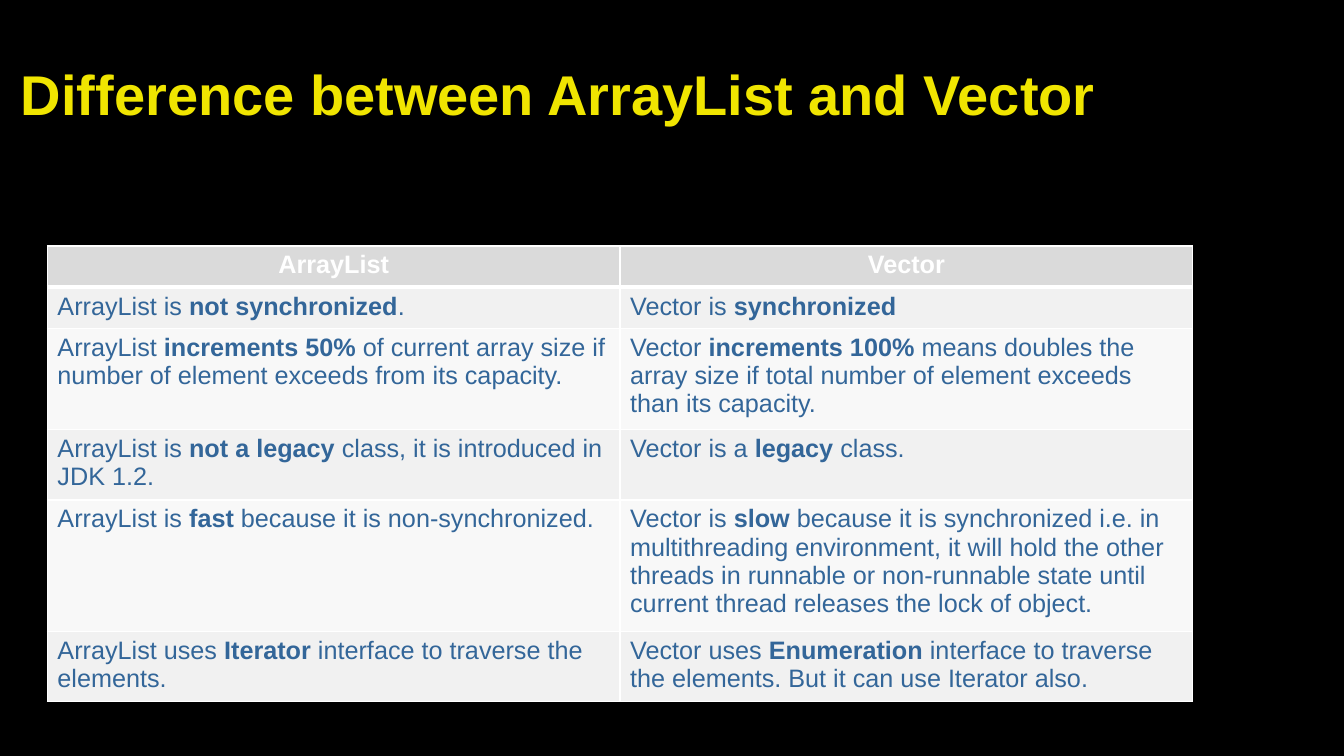
from lxml import etree
from pptx import Presentation
from pptx.dml.color import RGBColor
from pptx.enum.text import MSO_ANCHOR, PP_ALIGN
from pptx.oxml.ns import qn
from pptx.util import Inches, Pt

MIDDLE = MSO_ANCHOR.MIDDLE
LEFT, CENTER = PP_ALIGN.LEFT, PP_ALIGN.CENTER

FONT = "Arial"
COLORS = {
    "background": "000000",
    "title": "F0E500",
    "header_fill": "DADADA",
    "header_text": "FFFFFF",
    "odd_row": "F1F1F1",
    "even_row": "F8F8F8",
    "body_text": "336699",
    "border": "FFFFFF",
}
COLUMN_WIDTH, ROW_HEIGHT = 5.68, 0.41

TITLE = "Difference between ArrayList and Vector"
HEADERS = ("ArrayList", "Vector")
# Words between double asterisks are bold.
DIFFERENCES = [
    ("ArrayList is **not synchronized**.",
     "Vector is **synchronized**"),
    ("ArrayList **increments 50%** of current array size if number of element "
     "exceeds from its capacity.",
     "Vector **increments 100%** means doubles the array size if total number "
     "of element exceeds than its capacity."),
    ("ArrayList is **not a legacy** class, it is introduced in JDK 1.2.",
     "Vector is a **legacy** class."),
    ("ArrayList is **fast** because it is non-synchronized.",
     "Vector is **slow** because it is synchronized i.e. in multithreading "
     "environment, it will hold the other threads in runnable or non-runnable "
     "state until current thread releases the lock of object."),
    ("ArrayList uses **Iterator** interface to traverse the elements.",
     "Vector uses **Enumeration** interface to traverse the elements. "
     "But it can use Iterator also."),
]


def rgb(name):
    return RGBColor.from_string(COLORS[name])


def write(tf, text, size, color, align=LEFT):
    """Fill a text frame, making the parts between ** marks bold."""
    p = tf.paragraphs[0]
    p.alignment = align
    for i, part in enumerate(text.split("**")):
        if part:
            r = p.add_run()
            r.text = part
            r.font.name = FONT
            r.font.size = Pt(size)
            r.font.bold = i % 2 == 1
            r.font.color.rgb = rgb(color)


def add_title(s, text):
    sp = s.shapes.add_textbox(Inches(0.11), Inches(0.3), Inches(12), Inches(1.25))
    tf = sp.text_frame
    tf.word_wrap = True
    tf.vertical_anchor = MIDDLE
    write(tf, f"**{text}**", 40, "title")


def set_borders(cell, bottom_width):
    tc_pr = cell._tc.get_or_add_tcPr()
    sides = [("a:lnL", 1), ("a:lnR", 1), ("a:lnT", 1), ("a:lnB", bottom_width)]
    for i, (tag, width) in enumerate(sides):
        ln = etree.Element(qn(tag), w=str(Pt(width)))
        fill = etree.SubElement(ln, qn("a:solidFill"))
        etree.SubElement(fill, qn("a:srgbClr"), val=COLORS["border"])
        tc_pr.insert(i, ln)


def fill_cell(cell, text, fill, color, align=LEFT, bottom_width=1):
    cell.fill.solid()
    cell.fill.fore_color.rgb = rgb(fill)
    write(cell.text_frame, text, 18, color, align)
    set_borders(cell, bottom_width)


def add_comparison(s, headers, rows):
    n_rows, n_cols = len(rows) + 1, len(headers)
    table = s.shapes.add_table(
        n_rows, n_cols, Inches(0.47), Inches(2.44),
        Inches(n_cols * COLUMN_WIDTH), Inches(n_rows * ROW_HEIGHT)).table
    for col, header in enumerate(headers):
        fill_cell(table.cell(0, col), f"**{header}**", "header_fill",
                  "header_text", CENTER, bottom_width=3)
    for row, texts in enumerate(rows, 1):
        fill = "odd_row" if row % 2 else "even_row"
        for col, text in enumerate(texts):
            cell = table.cell(row, col)
            fill_cell(cell, text, fill, "body_text")
            if row == 1:
                top = cell._tc.tcPr.find(qn("a:lnT"))
                top.set("w", str(Pt(3)))


def main():
    prs = Presentation()
    prs.slide_width, prs.slide_height = Inches(13.33), Inches(7.5)
    s = prs.slides.add_slide(prs.slide_layouts[6])
    s.background.fill.solid()
    s.background.fill.fore_color.rgb = rgb("background")
    add_title(s, TITLE)
    add_comparison(s, HEADERS, DIFFERENCES)
    prs.save("out.pptx")


if __name__ == "__main__":
    main()
